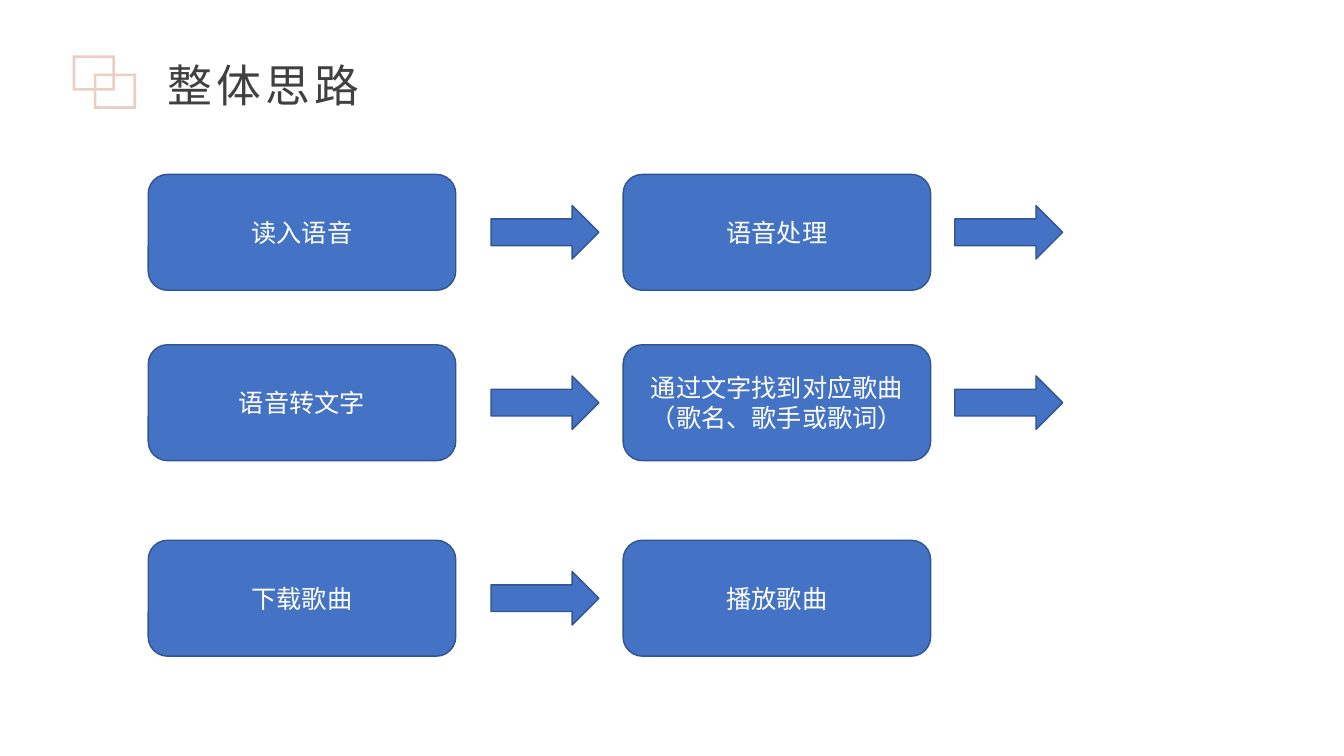
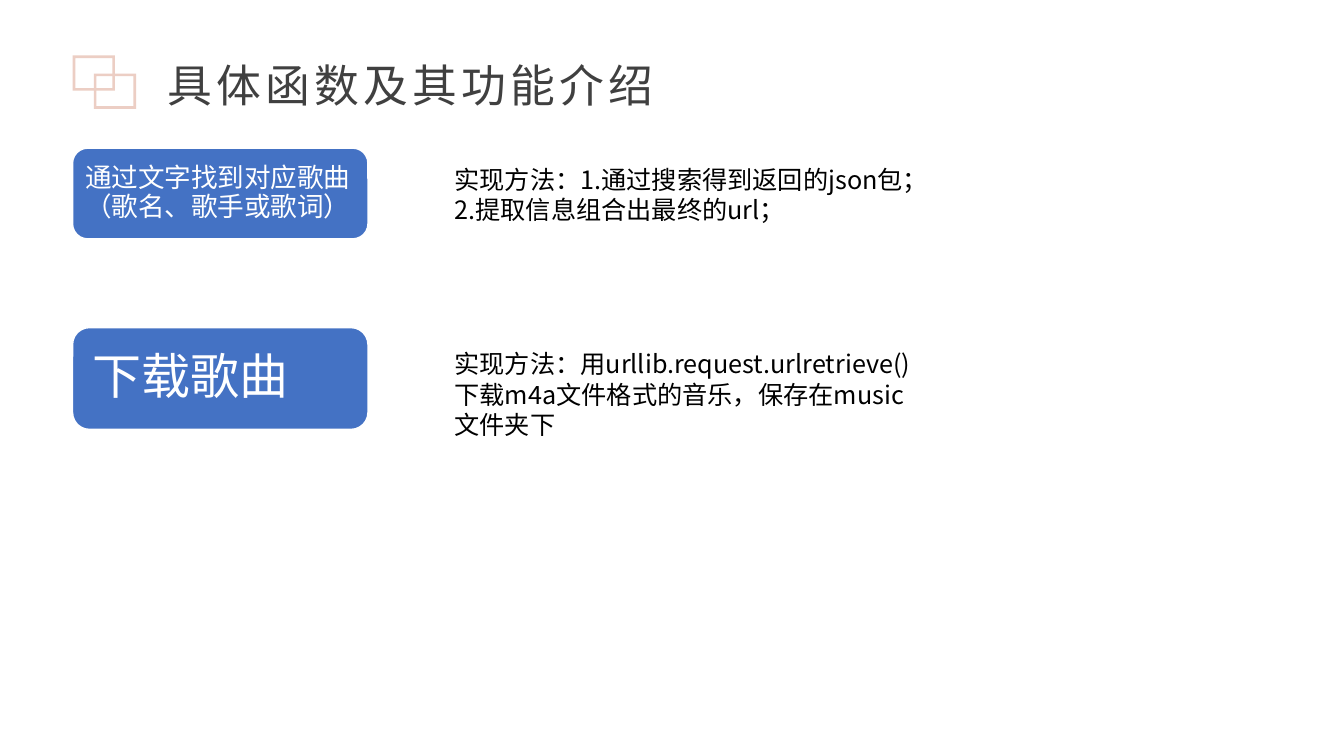
from lxml import etree
from pptx import Presentation
from pptx.dml.color import RGBColor
from pptx.enum import shapes, text
from pptx.oxml import ns
from pptx.util import Inches, Pt

COLORS = {
    "white": "FFFFFF",
    "black": "000000",
    "title": "404040",
    "emblem": "ECCEC4",
    "block": "4472C4",
    "outline": "325491",
}
FONT = "Noto Sans CJK SC"
SHAPE = shapes.MSO_SHAPE

BLOCK_WIDTH, BLOCK_HEIGHT = 3.05, 1.15
ARROW_WIDTH, ARROW_HEIGHT = 1.07, 0.53
BLOCK_LEFTS = (1.47, 6.18)
ARROW_LEFTS = (4.87, 9.47)
FLOW_ROWS = (
    (1.73, ("读入语音", "语音处理"), 2),
    (3.42, ("语音转文字", "通过文字找到对应歌曲（歌名、歌手或歌词）"), 2),
    (5.36, ("下载歌曲", "播放歌曲"), 1),
)


def color(name):
    return RGBColor.from_string(COLORS[name])


def add_run(paragraph, words, size, ink, spacing=0):
    run = paragraph.add_run()
    run.text = words
    run.font.size = Pt(size)
    run.font.name = FONT
    run.font.color.rgb = color(ink)
    properties = run.font._element
    east_asian = etree.Element(ns.qn("a:ea"), typeface=FONT)
    properties.find(ns.qn("a:latin")).addnext(east_asian)
    if spacing:
        properties.set("spc", str(spacing * 100))


def add_filled(slide, preset, box, fill, outline=None):
    figure = slide.shapes.add_shape(preset, *map(Inches, box))
    figure.shadow.inherit = False
    figure.fill.solid()
    figure.fill.fore_color.rgb = color(fill)
    if outline:
        figure.line.color.rgb = color(outline)
        figure.line.width = Pt(1)
    else:
        figure.line.fill.background()
    return figure


def add_text(slide, box, lines, size, ink, spacing=0):
    frame = slide.shapes.add_textbox(*map(Inches, box)).text_frame
    frame.word_wrap = True
    frame.auto_size = text.MSO_AUTO_SIZE.SHAPE_TO_FIT_TEXT
    for index, line in enumerate(lines):
        paragraph = frame.add_paragraph() if index else frame.paragraphs[0]
        add_run(paragraph, line, size, ink, spacing)


def add_titled_slide(deck, title, title_width):
    slide = deck.slides.add_slide(deck.slide_layouts[6])
    for left, top in ((0.72, 0.55), (0.93, 0.73)):
        emblem = add_filled(slide, SHAPE.FRAME, (left, top, 0.42, 0.35), "emblem")
        emblem.adjustments[0] = 0.076
    add_text(slide, (1.56, 0.52, title_width, 0.64), [title], 32, "title", 3)
    return slide


def add_block(slide, box, label, size, outline):
    block = add_filled(slide, SHAPE.ROUNDED_RECTANGLE, box, "block", outline)
    frame = block.text_frame
    frame.word_wrap = True
    frame.vertical_anchor = text.MSO_ANCHOR.MIDDLE
    paragraph = frame.paragraphs[0]
    paragraph.alignment = text.PP_ALIGN.CENTER
    add_run(paragraph, label, size, "white")
    return frame


def add_function_card(slide, top, height, label, size, inset):
    frame = add_block(slide, (0.72, top, 2.93, height), label, size, "white")
    frame.margin_left = frame.margin_right = Inches(inset)
    frame.margin_top = frame.margin_bottom = Inches(inset)
    paragraph = frame.paragraphs[0]
    paragraph.alignment = text.PP_ALIGN.LEFT
    paragraph.line_spacing = 0.9


def build_overview(deck):
    slide = add_titled_slide(deck, "整体思路", 4.38)
    for top, labels, arrow_count in FLOW_ROWS:
        for left, label in zip(BLOCK_LEFTS, labels):
            box = (left, top, BLOCK_WIDTH, BLOCK_HEIGHT)
            add_block(slide, box, label, 18, "outline")
        arrow_top = top + (BLOCK_HEIGHT - ARROW_HEIGHT) / 2
        for left in ARROW_LEFTS[:arrow_count]:
            box = (left, arrow_top, ARROW_WIDTH, ARROW_HEIGHT)
            add_filled(slide, SHAPE.RIGHT_ARROW, box, "block", "outline")


def build_functions(deck):
    slide = add_titled_slide(deck, "具体函数及其功能介绍", 5.9)
    add_function_card(slide, 1.47, 0.9, "通过文字找到对应歌曲（歌名、歌手或歌词）", 19, 0.08)
    search_steps = ["实现方法：1.通过搜索得到返回的json包；", "2.提取信息组合出最终的url；"]
    add_text(slide, (4.41, 1.58, 6.16, 0.71), search_steps, 18, "black")
    add_function_card(slide, 3.25, 1.01, "下载歌曲", 35, 0.15)
    download_steps = [
        "实现方法：用urllib.request.urlretrieve()下载m4a文件格式的音乐，保存在music文件夹下"
    ]
    add_text(slide, (4.41, 3.41, 4.76, 1.31), download_steps, 18, "black")


def main():
    deck = Presentation()
    deck.slide_width, deck.slide_height = Inches(13.33), Inches(7.5)
    build_overview(deck)
    build_functions(deck)
    deck.save("out.pptx")


if __name__ == "__main__":
    main()
